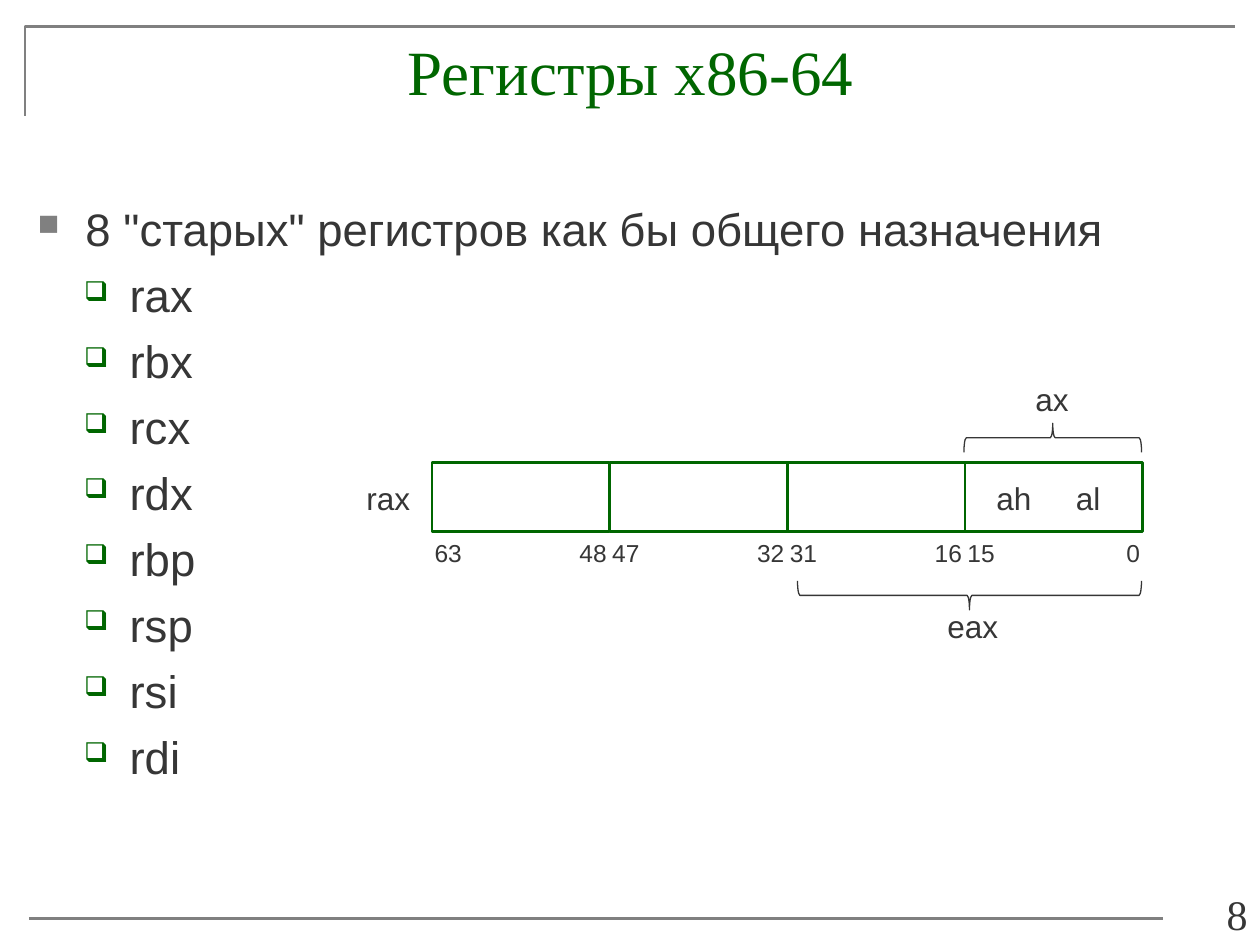
import pptx
import pptx.util
import pptx.dml.color
import pptx.enum.shapes
import pptx.enum.text
import pptx.oxml
import pptx.oxml.ns
from lxml import etree

Inches = pptx.util.Inches
Pt = pptx.util.Pt
SHAPES = pptx.enum.shapes.MSO_SHAPE
ALIGN = pptx.enum.text.PP_ALIGN
ANCHOR = pptx.enum.text.MSO_ANCHOR
COLORS = {"text": "363636", "green": "006600", "gray": "808080", "white": "FFFFFF"}
RGB = {name: pptx.dml.color.RGBColor.from_string(value) for name, value in COLORS.items()}

deck = pptx.Presentation()
deck.slide_width, deck.slide_height = Inches(10), Inches(7.5)
slide = deck.slides.add_slide(deck.slide_layouts[6])


def add_text(text, left, top, width, height, size=18, font="Arial", color="text",
             align=ALIGN.LEFT, anchor=ANCHOR.TOP, wrap=False):
    """Add a text box with one paragraph per line of text."""
    box = slide.shapes.add_textbox(Inches(left), Inches(top), Inches(width), Inches(height))
    frame = box.text_frame
    frame.word_wrap = wrap
    frame.vertical_anchor = anchor
    frame.text = text
    for paragraph in frame.paragraphs:
        paragraph.alignment = align
        paragraph.font.size = Pt(size)
        paragraph.font.name = font
        paragraph.font.color.rgb = RGB[color]
    return frame


def style_outline(shape, color, width, fill=None):
    """Set the line and the fill of a shape, without shadow."""
    shape.shadow.inherit = False
    shape.line.color.rgb = RGB[color]
    shape.line.width = Pt(width)
    if fill:
        shape.fill.solid()
        shape.fill.fore_color.rgb = RGB[fill]
    else:
        shape.fill.background()


# Frame lines
corner_builder = slide.shapes.build_freeform(Inches(0.2), Inches(0.92))
corner_builder.add_line_segments(
    [(Inches(0.2), Inches(0.21)), (Inches(9.8), Inches(0.21))], close=False)
style_outline(corner_builder.convert_to_shape(), "gray", 1.5)

footer_rule = slide.shapes.add_connector(
    pptx.enum.shapes.MSO_CONNECTOR.STRAIGHT, Inches(0.23), Inches(7.29), Inches(9.23), Inches(7.29))
footer_rule.line.color.rgb = RGB["gray"]
footer_rule.line.width = Pt(1.5)
etree.SubElement(footer_rule.element.spPr, pptx.oxml.ns.qn("a:effectLst"))

# Page number and title
add_text("8", 7.67, 7.06, 2.33, 0.44, size=24, font="Times New Roman",
         align=ALIGN.RIGHT, anchor=ANCHOR.BOTTOM, wrap=True)
add_text("Регистры x86-64", 0.2, 0.21, 9.61, 1.34, size=36, font="Times New Roman",
         color="green", align=ALIGN.CENTER, wrap=True)

# Bulleted list of registers
registers = ["rax", "rbx", "rcx", "rdx", "rbp", "rsp", "rsi", "rdi"]
heading = '8 "старых" регистров как бы общего назначения'
register_list = add_text("\n".join([heading] + registers), 0.2, 1.55, 9.61, 5.51, size=26, wrap=True)
for index, item in enumerate(register_list.paragraphs):
    if index == 0:
        space, margin, indent, bullet, color, percent = 3, 0.38, -0.38, "■", "gray", 65
    else:
        space, margin, indent, bullet, color, percent = 6.5, 0.73, -0.36, "❑", "green", 60
        item.level = 1
    item.space_before = Pt(space)
    properties = item._p.get_or_add_pPr()
    properties.set("marL", str(Inches(margin)))
    properties.set("indent", str(Inches(indent)))
    bullet_xml = (
        f'<a:pPr {pptx.oxml.ns.nsdecls("a")}>'
        f'<a:buClr><a:srgbClr val="{COLORS[color]}"/></a:buClr>'
        f'<a:buSzPct val="{percent * 1000}"/><a:buChar char="{bullet}"/></a:pPr>')
    following = properties.find(pptx.oxml.ns.qn("a:defRPr"))
    for part in list(pptx.oxml.parse_xml(bullet_xml)):
        if following is None:
            properties.append(part)
        else:
            following.addprevious(part)

# Register cells with the numbers of their first and last bits
REGISTER_LEFT, REGISTER_TOP, CELL_WIDTH, CELL_HEIGHT = 3.43, 3.67, 1.41, 0.55
BITS_TOP = REGISTER_TOP + CELL_HEIGHT
OVERHANG = 0.08
for index in range(4):
    left = REGISTER_LEFT + index * CELL_WIDTH
    right = left + CELL_WIDTH
    cell = slide.shapes.add_shape(
        SHAPES.RECTANGLE, Inches(left), Inches(REGISTER_TOP), Inches(CELL_WIDTH), Inches(CELL_HEIGHT))
    style_outline(cell, "green", 1.5)
    high_bit, low_bit = 63 - 16 * index, 48 - 16 * index
    low_width = 0.42 if low_bit else 0.31
    add_text(str(high_bit), left - OVERHANG, BITS_TOP, 0.42, 0.34, size=14)
    add_text(str(low_bit), right + OVERHANG - low_width, BITS_TOP, low_width, 0.34, size=14)

# Braces over the 16-bit part and under the 32-bit part
for left, top, length, rotation in [(8.24, 2.77, 1.41, 90), (7.58, 3.36, 2.73, 270)]:
    brace = slide.shapes.add_shape(
        SHAPES.LEFT_BRACE, Inches(left), Inches(top), Inches(0.23), Inches(length))
    brace.rotation = rotation
    style_outline(brace, "text", 0.75, fill="white")

# Names of the register and its parts
for name, left, top, width in [("ah", 7.81, 3.75, 0.48), ("al", 8.44, 3.75, 0.4),
                               ("ax", 8.12, 2.97, 0.47), ("eax", 7.42, 4.77, 0.61),
                               ("rax", 2.81, 3.75, 0.55)]:
    add_text(name, left, top, width, 0.4)

deck.save("out.pptx")
